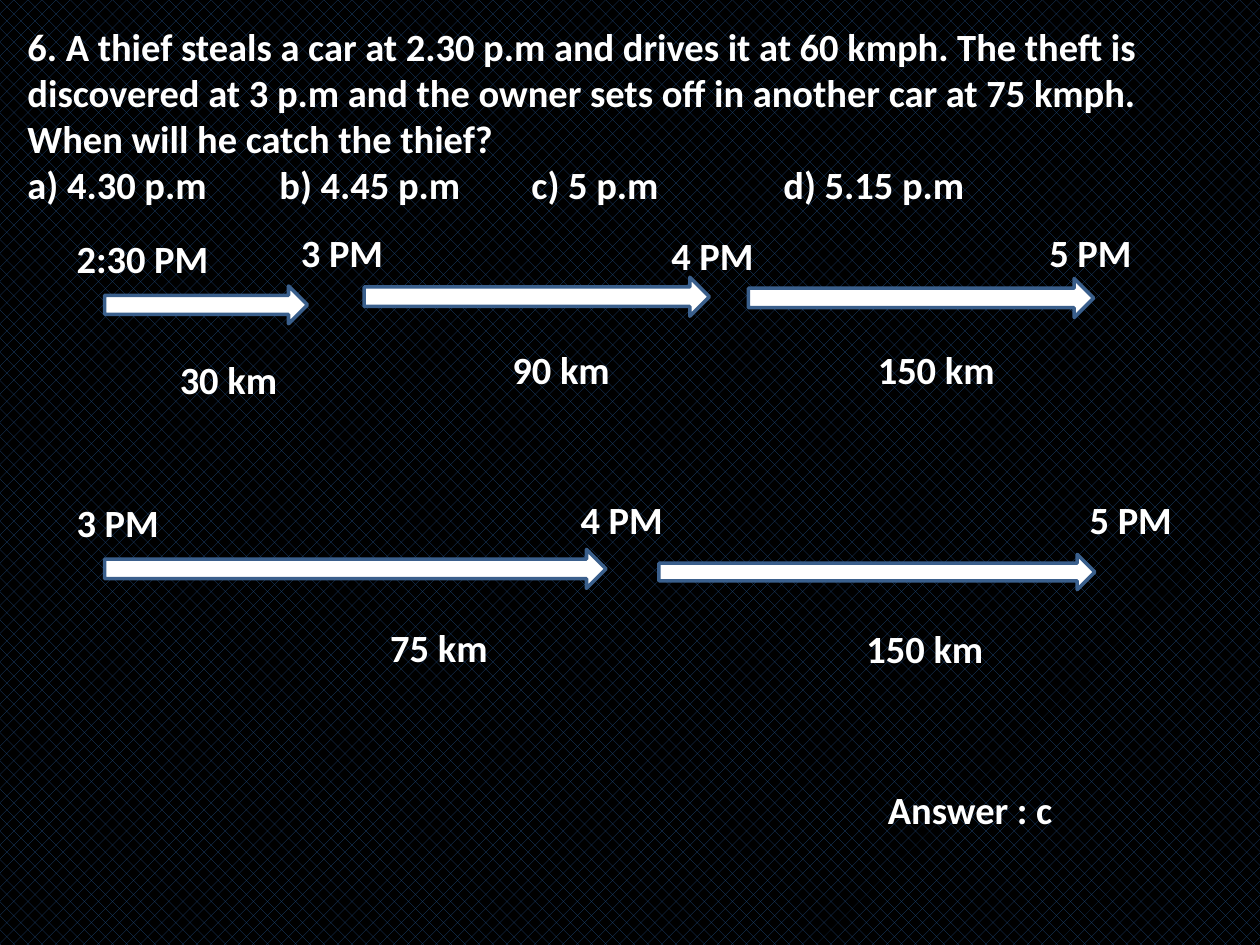
"""Build the slide that solves the stolen car pursuit with two timelines."""
from lxml import etree
from pptx import Presentation
from pptx.dml.color import RGBColor
from pptx.enum.dml import MSO_PATTERN
from pptx.enum.shapes import MSO_SHAPE
from pptx.enum.text import MSO_AUTO_SIZE
from pptx.oxml.ns import qn
from pptx.util import Inches, Pt

ARROW = MSO_SHAPE.RIGHT_ARROW
DOTTED = MSO_PATTERN.PERCENT_25
GROW = MSO_AUTO_SIZE.SHAPE_TO_FIT_TEXT

THEME = {
    "white": RGBColor(0xFF, 0xFF, 0xFF),
    "black": RGBColor(0x00, 0x00, 0x00),
    "navy": RGBColor(0x1F, 0x49, 0x7D),
    "outline": RGBColor(0x3A, 0x5F, 0x8C),
    "outline_width": Pt(2),
}
FONT = {"name": "Calibri", "size": Pt(22), "bold": True}
LABEL_HEIGHT = 0.47

QUESTION = (
    "6. A thief steals a car at 2.30 p.m and drives it at 60 kmph. "
    "The theft is discovered at 3 p.m and the owner sets off in another car "
    "at 75 kmph. When will he catch the thief?"
)
OPTIONS = "a) 4.30 p.m\tb) 4.45 p.m\tc) 5 p.m\td) 5.15 p.m"
OPTION_STOPS = (2, 4, 6)

THIEF_ARROWS = [(0.83, 2.27, 1.61, 0.3), (2.89, 2.2, 2.74, 0.31), (5.94, 2.21, 2.74, 0.31)]
OWNER_ARROWS = [(0.83, 4.36, 3.98, 0.31), (5.23, 4.4, 3.46, 0.28)]

THIEF_LABELS = [
    ("2:30 PM", 0.51, 1.82, 1.34),
    ("3 PM", 2.29, 1.77, 0.86),
    ("4 PM", 5.23, 1.79, 0.86),
    ("5 PM", 8.23, 1.77, 1.34),
    (" 30 km", 1.26, 2.78, 1.18),
    (" 90 km", 3.9, 2.7, 1.18),
    (" 150 km", 6.8, 2.7, 1.44),
]
OWNER_LABELS = [
    ("3 PM", 0.51, 3.91, 1.34),
    ("4 PM", 4.51, 3.89, 0.86),
    ("5 PM", 8.55, 3.89, 1.34),
    (" 75 km", 2.93, 4.9, 1.18),
    (" 150 km", 6.71, 4.91, 1.44),
]
ANSWER = (" Answer : c", 6.88, 6.19, 2.69)


def add_text(page, lines, left, top, width, height=LABEL_HEIGHT, stops=()):
    """Add a white bold text box with one paragraph per line."""
    box = page.shapes.add_textbox(*map(Inches, (left, top, width, height)))
    frame = box.text_frame
    frame.word_wrap = True
    frame.auto_size = GROW
    for index, line in enumerate(lines):
        para = frame.add_paragraph() if index else frame.paragraphs[0]
        if "\t" in line:
            tabs = etree.SubElement(para._p.get_or_add_pPr(), qn("a:tabLst"))
            for stop in stops:
                etree.SubElement(tabs, qn("a:tab"), pos=str(Inches(stop)), algn="l")
        span = para.add_run()
        span.text = line
        for key, value in FONT.items():
            setattr(span.font, key, value)
        span.font.color.rgb = THEME["white"]


deck = Presentation()
deck.slide_width, deck.slide_height = Inches(10), Inches(7.5)
page = deck.slides.add_slide(deck.slide_layouts[6])

backdrop = page.background.fill
backdrop.patterned()
backdrop.pattern = DOTTED
backdrop.fore_color.rgb = THEME["navy"]
backdrop.back_color.rgb = THEME["black"]

add_text(page, [QUESTION, OPTIONS], 0.12, 0.13, 9.76, 1.58, OPTION_STOPS)

for bounds in THIEF_ARROWS + OWNER_ARROWS:
    arrow = page.shapes.add_shape(ARROW, *map(Inches, bounds))
    arrow.shadow.inherit = False
    arrow.fill.solid()
    arrow.fill.fore_color.rgb = THEME["white"]
    arrow.line.color.rgb = THEME["outline"]
    arrow.line.width = THEME["outline_width"]

for label, left, top, width in THIEF_LABELS + OWNER_LABELS + [ANSWER]:
    add_text(page, [label], left, top, width)

deck.save("out.pptx")
